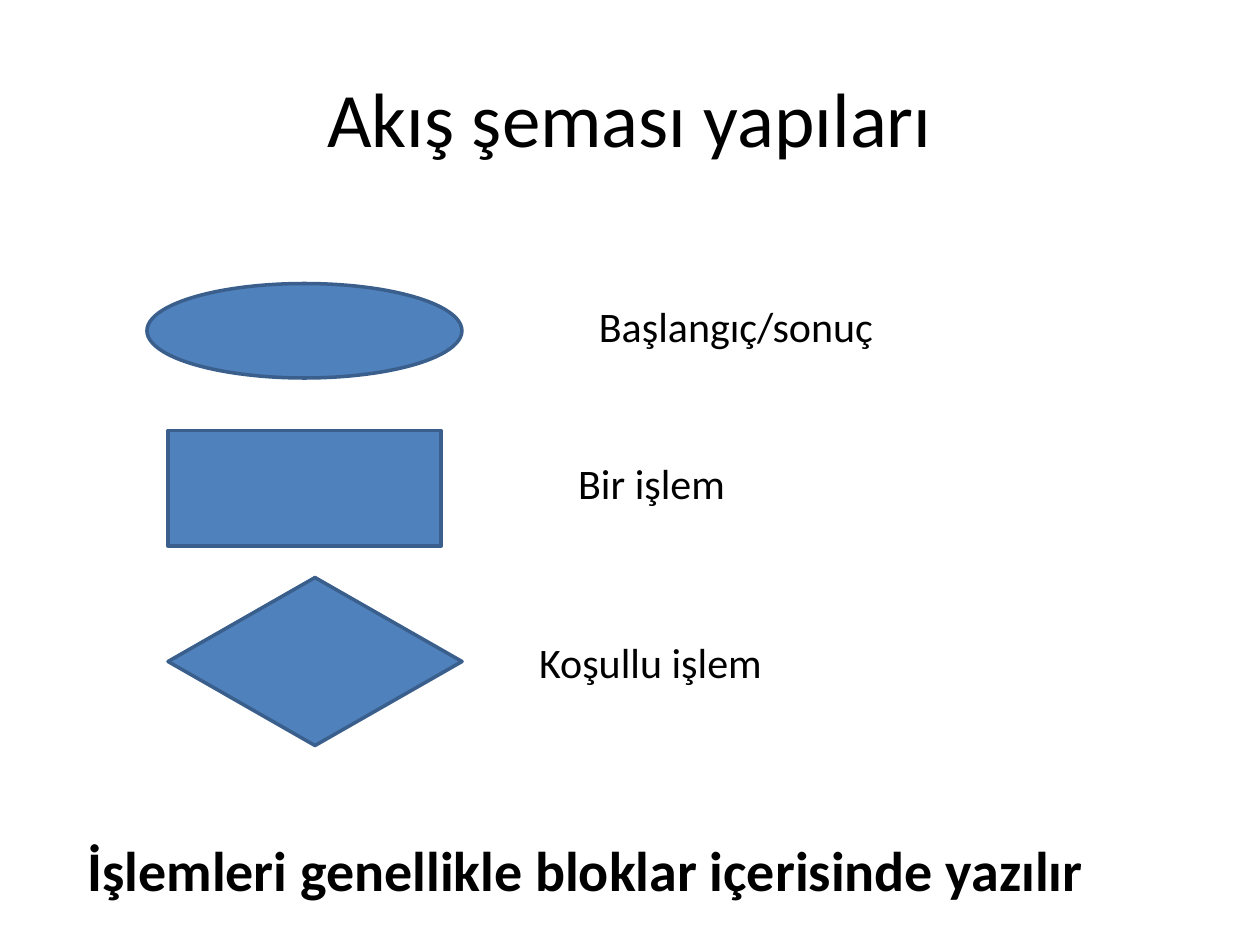
from pptx import Presentation
from pptx import util as u
from pptx.dml.color import RGBColor
from pptx.enum import shapes, text

BLUE = RGBColor(0x4F, 0x81, 0xBD)
EDGE = RGBColor(0x3A, 0x5F, 0x8C)
BLACK = RGBColor(0, 0, 0)
CELL = u.Inches(1) / 12  # the grid has 120 columns and 90 rows

KIND = shapes.MSO_SHAPE
# symbol, its box, label, label box; boxes are column, row, columns, rows
STEPS = [
    (KIND.FLOWCHART_CONNECTOR, (14, 27, 30, 9),
     "Başlangıç/sonuç", (55.7, 28, 28.8, 6)),
    (KIND.FLOWCHART_PROCESS, (16, 41, 26, 11),
     "Bir işlem", (53.8, 43, 16.5, 6)),
    (KIND.FLOWCHART_DECISION, (16, 55, 28, 16),
     "Koşullu işlem", (50, 60, 23.9, 6)),
]


def place(box):
    """Turn a box in grid cells into slide lengths."""
    return [round(n * CELL) for n in box]


def style(item, form):
    """Set each attribute of item from a dict."""
    for key, val in form.items():
        setattr(item, key, val)


def symbol(slide, kind, box):
    """Draw one blue flowchart symbol."""
    shape = slide.shapes.add_shape(kind, *place(box))
    shape.shadow.inherit = False
    shape.fill.solid()
    shape.fill.fore_color.rgb = BLUE
    shape.line.color.rgb = EDGE
    shape.line.width = u.Pt(2)


def label(slide, words, box, size=24, bold=False, **frame):
    """Write one centred line of text."""
    area = slide.shapes.add_textbox(*place(box)).text_frame
    style(area, {"word_wrap": False, **frame})
    para = area.paragraphs[0]
    para.alignment = text.PP_ALIGN.CENTER
    run = para.add_run()
    run.text = words
    style(run.font, {"name": "Calibri", "size": u.Pt(size), "bold": bold})
    run.font.color.rgb = BLACK


def main():
    """Build and save the slide."""
    deck = Presentation()
    style(deck, {"slide_width": u.Inches(10), "slide_height": u.Inches(7.5)})
    slide = deck.slides.add_slide(deck.slide_layouts[6])
    label(slide, "Akış şeması yapıları", (6, 3.6, 108, 15), 44,
          word_wrap=True, vertical_anchor=text.MSO_ANCHOR.MIDDLE)
    for kind, box, words, spot in STEPS:
        symbol(slide, kind, box)
        label(slide, words, spot, auto_size=text.MSO_AUTO_SIZE.SHAPE_TO_FIT_TEXT)
    label(slide, "İşlemleri genellikle bloklar içerisinde yazılır",
          (6.7, 79, 98.2, 7.7), 32, True,
          auto_size=text.MSO_AUTO_SIZE.SHAPE_TO_FIT_TEXT)
    deck.save("out.pptx")


main()
